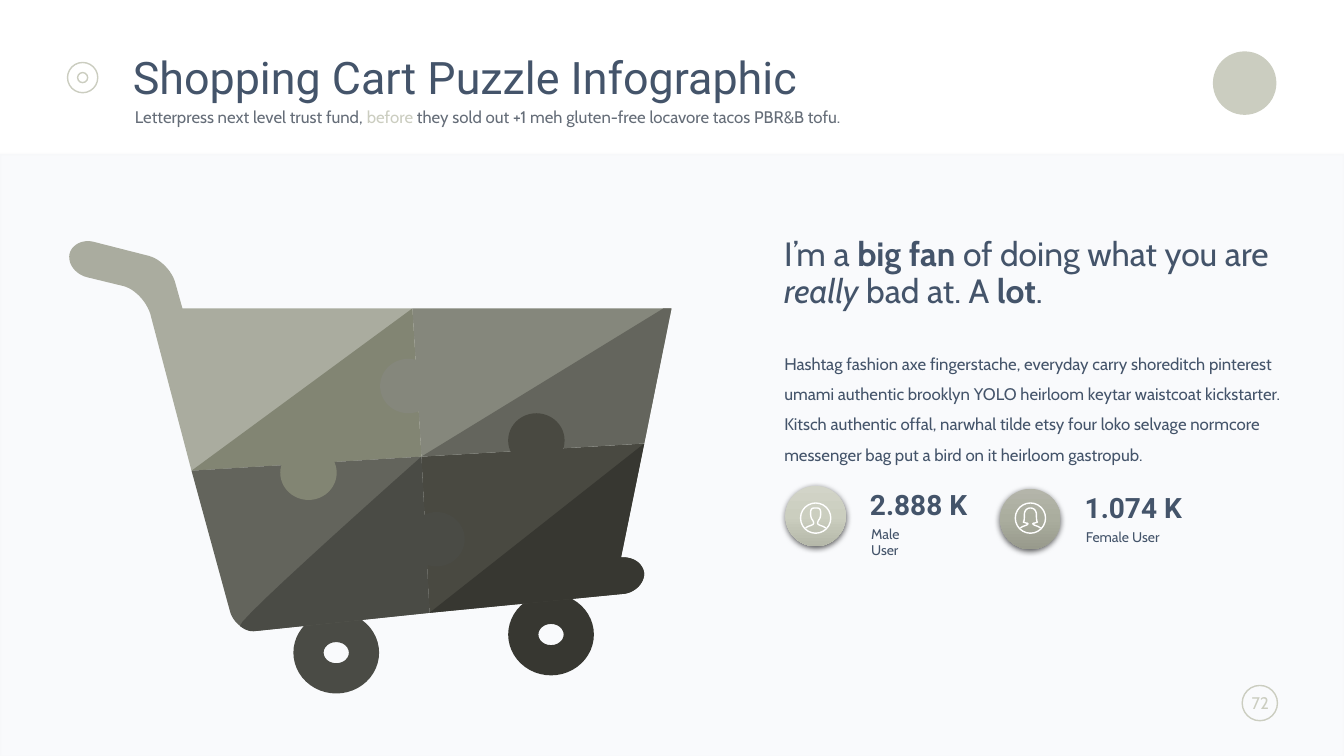
from copy import deepcopy

from lxml.etree import SubElement
from pptx import Presentation
from pptx.dml.color import RGBColor
from pptx.enum.shapes import MSO_SHAPE
from pptx.enum.text import PP_ALIGN
from pptx.oxml.ns import qn
from pptx.util import Inches, Pt

NAVY = RGBColor(0x44, 0x54, 0x6A)
GRAY = RGBColor(0x65, 0x6D, 0x78)
SAND = RGBColor(0xCB, 0xCD, 0xC0)
WHITE = RGBColor(0xFF, 0xFF, 0xFF)
BAND = RGBColor(0x7B, 0x8D, 0xB3)
BAND_EDGE = RGBColor(0xEB, 0xEB, 0xEB)
PALE_SAGE = RGBColor(0xAA, 0xAC, 0x9F)
SAGE = RGBColor(0x82, 0x85, 0x73)
STONE = RGBColor(0x85, 0x87, 0x7C)
SLATE = RGBColor(0x64, 0x65, 0x5D)
LEAD = RGBColor(0x63, 0x64, 0x5C)
IRON = RGBColor(0x4A, 0x4B, 0x45)
COAL = RGBColor(0x49, 0x49, 0x41)
INK = RGBColor(0x37, 0x37, 0x31)
MALE_SHADES = [RGBColor(0xD2, 0xD4, 0xC8), RGBColor(0xCB, 0xCE, 0xBF), RGBColor(0xB5, 0xB8, 0xA9)]
FEMALE_SHADES = [RGBColor(0xB4, 0xB5, 0xAA), RGBColor(0xAA, 0xAD, 0x9E), RGBColor(0x98, 0x9A, 0x8C)]

# Corners shared by the four puzzle pieces
HUB, TOP, BOTTOM = (4.18, 4.53), (4.09, 3.06), (4.26, 6.08)
LEFT, RIGHT, CORNER = (1.9, 4.67), (6.39, 4.4), (6.66, 3.06)

# Outline steps: two numbers make a line, six make a cubic curve
HANDLE = [TOP, (1.81, 3.06), (1.74, 2.81), (1.71, 2.69, 1.59, 2.57, 1.48, 2.54), (0.93, 2.4),
          (0.82, 2.37, 0.71, 2.43, 0.69, 2.52), (0.67, 2.62, 0.75, 2.72, 0.86, 2.75),
          (1.23, 2.84), (1.34, 2.87, 1.45, 2.99, 1.49, 3.11), LEFT, HUB]
FLOOR_END = [RIGHT, (6.16, 5.53), (6.28, 5.52, 6.38, 5.59, 6.39, 5.69),
             (6.39, 5.78, 6.31, 5.87, 6.2, 5.89), BOTTOM]
CART_PIECES = [
    (FLOOR_END + [HUB], COAL),
    (FLOOR_END, INK),
    ([RIGHT, CORNER, TOP, HUB], STONE),
    ([RIGHT, CORNER, (6.58, 3.06), HUB], SLATE),
    (HANDLE, PALE_SAGE),
    ([LEFT, HUB, TOP], SAGE),
    ([LEFT, (2.28, 6.06), (2.31, 6.18, 2.43, 6.27, 2.54, 6.26), BOTTOM, HUB], LEAD),
    ([(2.38, 6.21), (2.43, 6.25, 2.48, 6.27, 2.54, 6.26), BOTTOM, HUB,
      (4.18, 4.53, 2.33, 6.17, 2.38, 6.21)], IRON),
]
WHEELS = [(2.91, 6.07, IRON), (5.04, 5.89, INK)]
KNOBS = [(4.05, 5.08, IRON), (5.04, 4.1, COAL), (3.77, 3.56, STONE), (2.78, 4.42, SAGE)]

# Left halves of the user busts, measured from the icon centre
MALE_HALF = [(-0.1, 0.1), (-0.08, 0.08, -0.06, 0.08, -0.04, 0.07),
             (-0.01, 0.06, -0.02, 0.04, -0.03, 0.02), (-0.04, 0.01, -0.05, -0.01, -0.05, -0.05),
             (-0.05, -0.1, -0.03, -0.1, 0, -0.1)]
FEMALE_HALF = [(-0.1, 0.1), (-0.08, 0.08, -0.06, 0.08, -0.04, 0.07),
               (-0.02, 0.06, -0.02, 0.05, -0.04, 0.05), (-0.07, 0.04),
               (-0.06, 0.03, -0.06, 0, -0.06, -0.03), (-0.06, -0.08, -0.03, -0.1, 0, -0.1)]


def trace(steps):
    """Turn outline steps into points, sampling each curve."""
    points = [steps[0]]
    for step in steps[1:]:
        if len(step) == 2:
            points.append(step)
            continue
        corners = [points[-1], step[:2], step[2:4], step[4:]]
        for t in (n / 12 for n in range(1, 13)):
            weights = ((1 - t) ** 3, 3 * t * (1 - t) ** 2, 3 * t * t * (1 - t), t ** 3)
            points.append(tuple(sum(w * c[axis] for w, c in zip(weights, corners))
                                for axis in (0, 1)))
    return points


def paint(shape, fill=None, line=None, weight=1):
    shape.shadow.inherit = False
    if fill is None:
        shape.fill.background()
    else:
        shape.fill.solid()
        shape.fill.fore_color.rgb = fill
    if line is None:
        shape.line.fill.background()
    else:
        shape.line.color.rgb = line
        shape.line.width = Pt(weight)
    return shape


def add_form(page, kind, left, top, width, height, **look):
    shape = page.shapes.add_shape(kind, Inches(left), Inches(top), Inches(width), Inches(height))
    return paint(shape, **look)


def add_outline(page, points, close=True, **look):
    spots = [(Inches(x), Inches(y)) for x, y in points]
    builder = page.shapes.build_freeform(*spots[0], scale=1.0)
    builder.add_line_segments(spots[1:], close=close)
    return paint(builder.convert_to_shape(), **look)


def add_text(page, left, top, width, height, spans, size, font="Cabin", color=NAVY,
             spacing=1.0, wrap=True, inset=True, align=PP_ALIGN.LEFT):
    box = page.shapes.add_textbox(Inches(left), Inches(top), Inches(width), Inches(height))
    frame = box.text_frame
    frame.word_wrap = wrap
    if not inset:
        for side in ("left", "right", "top", "bottom"):
            setattr(frame, f"margin_{side}", 0)
    para = frame.paragraphs[0]
    para.line_spacing = spacing
    para.alignment = align
    for text, changes in spans:
        span = para.add_run()
        span.text = text
        style = {"size": Pt(size), "name": font, "color": color, **changes}
        span.font.color.rgb = style.pop("color")
        for name, value in style.items():
            setattr(span.font, name, value)


def set_alpha(shape, percents):
    colors = shape._element.spPr.iter(qn("a:srgbClr"))
    for color, percent in zip(colors, percents):
        SubElement(color, qn("a:alpha"), val=str(percent * 1000))


def add_badge(page, left, top, shades):
    badge = add_form(page, MSO_SHAPE.OVAL, left, top, 0.6, 0.6)
    badge.fill.gradient()
    badge.fill.gradient_angle = 270
    properties = badge._element.spPr
    stop_list = properties.find(".//" + qn("a:gsLst"))
    stop_list.insert(1, deepcopy(stop_list[0]))
    for index, stop in enumerate(badge.fill.gradient_stops):
        stop.position = index / 2
        stop.color.rgb = shades[index]
    shadow = SubElement(properties.find(qn("a:effectLst")), qn("a:outerShdw"),
                        blurRad=str(Pt(4.5)), dist=str(Pt(1.5)), dir="5400000", rotWithShape="0")
    color = SubElement(shadow, qn("a:srgbClr"), val="000000")
    SubElement(color, qn("a:alpha"), val="63000")


def add_user(page, left, top, shades, half, number, label, label_width):
    add_badge(page, left, top, shades)
    add_text(page, left + 0.74, top - 0.03, 1.19, 0.44, [(number, {"bold": True})], 20,
             font="Roboto", wrap=False)
    add_text(page, left + 0.85, top + 0.39, label_width, 0.17, [(label, {})], 10, inset=False)
    x, y = left + 0.3, 5.14
    add_form(page, MSO_SHAPE.OVAL, x - 0.15, y - 0.15, 0.3, 0.3, line=WHITE)
    points = trace(half)
    bust = points + [(-across, down) for across, down in reversed(points[:-1])]
    add_outline(page, [(x + across, y + down) for across, down in bust], close=False, line=WHITE)


def add_frame(page):
    add_form(page, MSO_SHAPE.OVAL, 12.03, 0.51, 0.63, 0.63, fill=SAND)
    band = add_form(page, MSO_SHAPE.RECTANGLE, 0, 1.53, 13.33, 5.98,
                    fill=BAND, line=BAND_EDGE, weight=2)
    set_alpha(band, (4, 10))
    for left, top, size in ((0.67, 0.62, 0.3), (0.77, 0.72, 0.1), (12.32, 6.8, 0.35)):
        add_form(page, MSO_SHAPE.OVAL, left, top, size, size, line=SAND)
    add_text(page, 12.31, 6.82, 0.38, 0.3, [("72", {})], 12, color=SAND,
             wrap=False, align=PP_ALIGN.CENTER)


def add_cart(page):
    for left, top, color in WHEELS:
        wheel = add_form(page, MSO_SHAPE.DONUT, left, top, 0.85, 0.81, fill=color)
        wheel.adjustments[0] = 0.37
    for steps, color in CART_PIECES:
        add_outline(page, trace(steps), fill=color)
    for left, top, color in KNOBS:
        add_form(page, MSO_SHAPE.OVAL, left, top, 0.56, 0.54, fill=color)


def main():
    deck = Presentation()
    deck.slide_width, deck.slide_height = Inches(13.33), Inches(7.5)
    page = deck.slides.add_slide(deck.slide_layouts[6])
    add_frame(page)

    # Heading
    add_text(page, 1.22, 0.5, 10.07, 0.53, [("Shopping Cart Puzzle Infographic", {})], 32,
             font="Roboto", spacing=0.9)
    add_text(page, 1.24, 1.03, 10.05, 0.29, [
        ("Letterpress next level trust fund, ", {}), ("before", {"color": SAND}),
        (" they sold out +1 meh gluten-free locavore tacos PBR&B tofu.", {})],
        12, color=GRAY, spacing=0.9)

    add_cart(page)

    # Statement and body text
    add_text(page, 7.68, 2.31, 5.46, 0.83, [
        ("I’m a ", {}), ("big fan ", {"bold": True}), ("of doing what you are ", {}),
        ("really", {"italic": True}), (" bad at. A ", {}), ("lot", {"bold": True}), (".", {})],
        24, spacing=0.9)
    add_text(page, 7.68, 3.36, 5.32, 1.31, [(
        "Hashtag fashion axe fingerstache, everyday carry shoreditch pinterest umami authentic "
        "brooklyn YOLO heirloom keytar waistcoat kickstarter. Kitsch authentic offal, narwhal "
        "tilde etsy four loko selvage normcore messenger bag put a bird on it heirloom "
        "gastropub.", {})], 12, spacing=1.5)

    # User counts
    add_user(page, 7.79, 4.82, MALE_SHADES, MALE_HALF, "2.888 K", "Male User", 0.58)
    add_user(page, 9.92, 4.85, FEMALE_SHADES, FEMALE_HALF, "1.074 K", "Female User", 0.85)
    deck.save("out.pptx")


if __name__ == "__main__":
    main()
